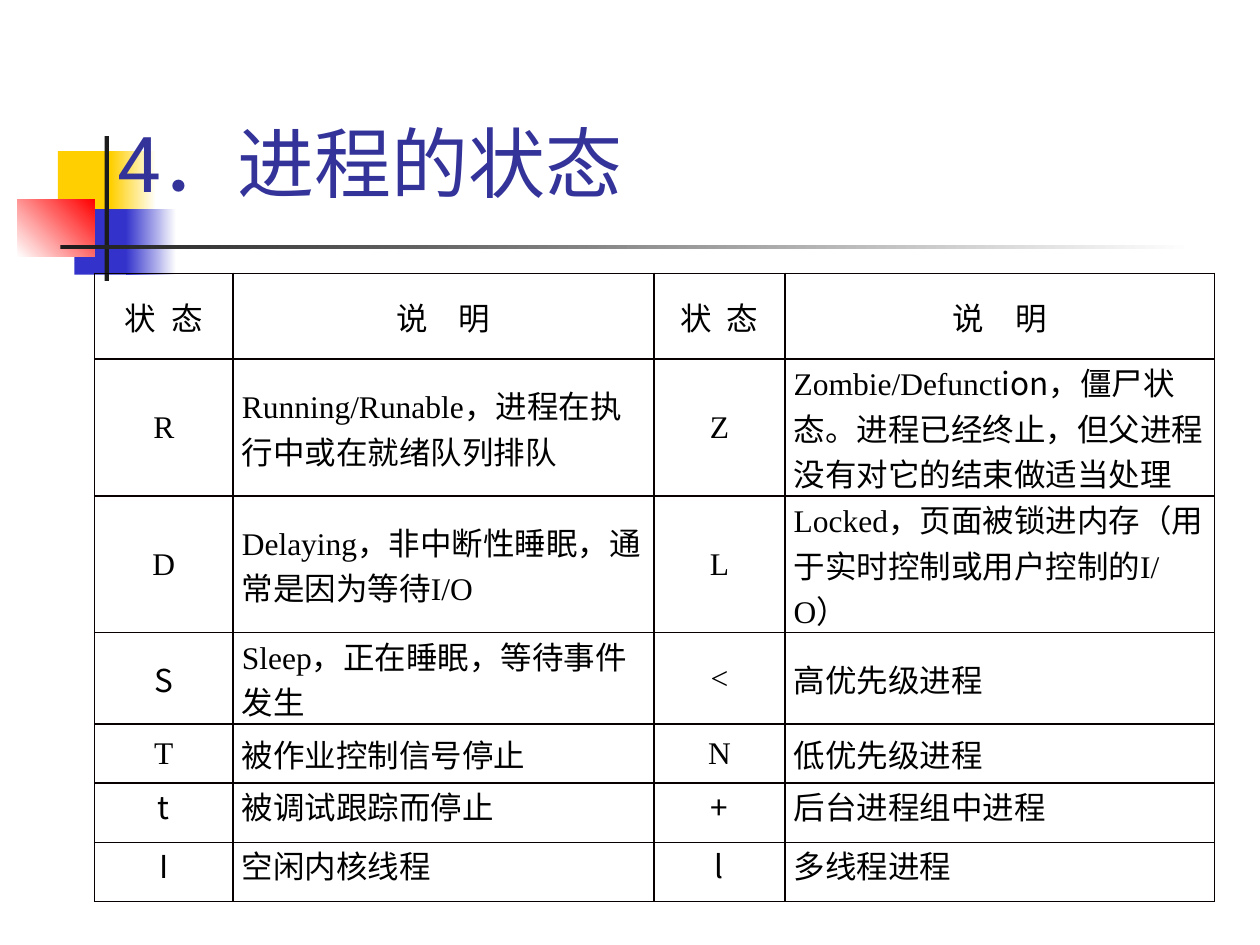
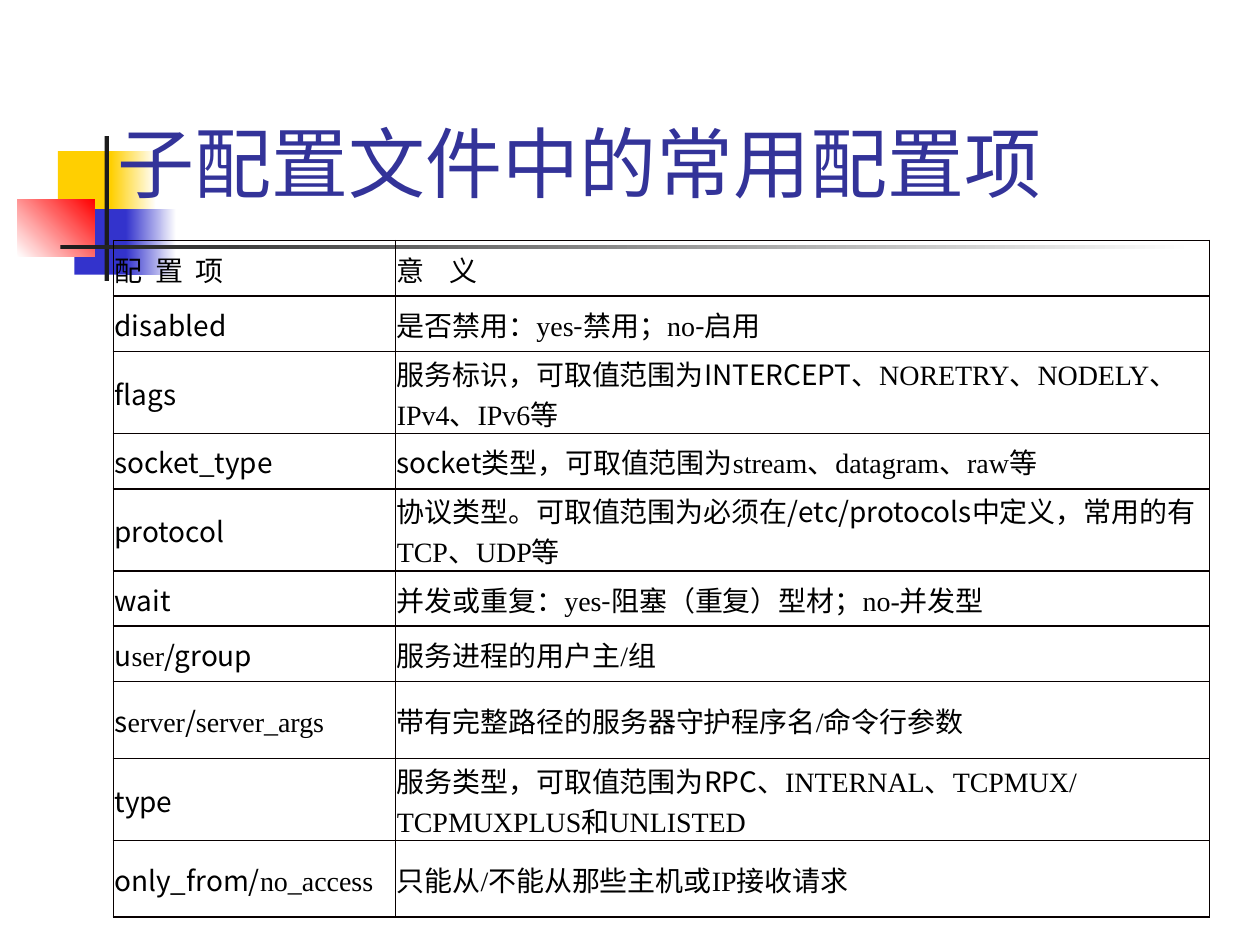
from dataclasses import dataclass
from itertools import cycle

from lxml import etree
from pptx import Presentation
from pptx.dml.color import RGBColor
from pptx.enum.lang import MSO_LANGUAGE_ID
from pptx.enum.shapes import MSO_SHAPE
from pptx.enum.text import MSO_ANCHOR, PP_ALIGN
from pptx.oxml.ns import qn
from pptx.util import Inches, Pt

RECTANGLE = MSO_SHAPE.RECTANGLE
TOP, MIDDLE, BOTTOM = MSO_ANCHOR.TOP, MSO_ANCHOR.MIDDLE, MSO_ANCHOR.BOTTOM
LEFT, CENTER = PP_ALIGN.LEFT, PP_ALIGN.CENTER
CHINESE = MSO_LANGUAGE_ID.SIMPLIFIED_CHINESE

SLIDE_WIDTH, SLIDE_HEIGHT = Inches(10), Inches(7.5)
GRID_COLUMNS, GRID_ROWS = 100, 75

COLORS = {
    "yellow": "FFCF01",
    "blue": "3333CC",
    "red": "FF0000",
    "white": "FFFFFF",
    "bar": "1C1C1C",
    "title": "333399",
    "text": "000000",
    "border": "080000",
}
TITLE_FONT, SERIF, SANS = "Roboto", "Times New Roman", "Noto Sans CJK SC"
SWITCH_FONT = "|"


@dataclass(frozen=True)
class Box:
    """A place in grid columns and rows."""
    left: float
    top: float
    width: float
    height: float

    def lengths(self) -> tuple[int, int, int, int]:
        return (across(self.left), down(self.top),
                across(self.width), down(self.height))


@dataclass(frozen=True)
class Block:
    """A decoration; it fades from start to end when an end colour is given."""
    box: Box
    start: str
    end: str = ""
    angle: float = 0


@dataclass(frozen=True)
class Heading:
    text: str
    spacing: float


@dataclass(frozen=True)
class TableDesign:
    left: float
    top: float
    columns: tuple[float, ...]
    rows: tuple[float, ...]
    size: float
    fonts: tuple[str, str]
    margins: tuple[float, float, float, float]
    centered_columns: tuple[int, ...] = ()
    heading_align: PP_ALIGN = LEFT
    first_top_row: int = 99


@dataclass(frozen=True)
class TableSlide:
    title: str
    design: TableDesign
    headings: tuple[Heading, ...]
    body: tuple[tuple[str, ...], ...]


TITLE_BOX = Box(8.3, 4.4, 89.2, 12.6)
DECORATIONS = (
    Block(Box(4.6, 12, 4.8, 5.2), "yellow"),
    Block(Box(8.8, 12, 3.6, 5.2), "yellow", "white"),
    Block(Box(5.9, 16.6, 4.6, 5.2), "blue"),
    Block(Box(10, 16.6, 4, 5.2), "blue", "white"),
    Block(Box(1.4, 15.8, 6.1, 4.6), "white", "red", 45),
    Block(Box(8.3, 10.8, 0.35, 11.5), "bar"),
    Block(Box(4.8, 19.45, 90, 0.35), "bar", "white"),
)

STATE_HEADINGS = (Heading("状 态", 2.25), Heading("说 明", 6.75))
PROCESS_STATES = TableSlide(
    title="4．进程的状态",
    design=TableDesign(
        left=7.5, top=21.7,
        columns=(11, 33.4, 10.4, 34.1),
        rows=(6.8,) + (9.4,) * 2 + (4.7,) * 4,
        size=18, fonts=(SERIF, SANS), margins=(0.7, 0, 0.7, 0),
        centered_columns=(0, 2), heading_align=CENTER, first_top_row=5,
    ),
    headings=STATE_HEADINGS * 2,
    body=(
        ("R", "Running/Runable，进程在执行中或在就绪队列排队",
         "Z", "Zombie/Defunct|ion|，僵尸状态。进程已经终止，但父进程没有对它的结束|做|适当处理"),
        ("D", "Delaying，非中断性睡眠，通常是因为等待I/O",
         "L", "Locked，页面被锁进内存（用于实时控制或用户控制的I/O）"),
        ("|S", "Sleep，正在睡眠，等待事件发生", "<", "高优先级进程"),
        ("T", "|被作业控制信号停止", "N", "低优先级进程"),
        ("|t", "|被调试跟踪而停止", "|+", "|后台进程组中进程"),
        ("|I", "|空闲内核线程", "|l", "|多线程进程"),
    ),
)

CONFIG_OPTIONS = TableSlide(
    title="子配置文件中的常用配置项",
    design=TableDesign(
        left=9, top=19.1,
        columns=(22.4, 64.6),
        rows=(4.4,) * 7 + (6.1,) * 3,
        size=16, fonts=(SANS, SERIF), margins=(0.1, 0.1, 0.1, 0),
    ),
    headings=(Heading("配 置 项", 1.8), Heading("意 义", 5.4)),
    body=(
        ("disabled", "是否禁用：|yes|-禁用；|no|-启用"),
        ("flags", "服务标识，可取值范围为INTERCEPT、|NORETRY|、|NODELY|、|IPv4|、|IPv6|等"),
        ("socket_type", "socket类型，可取值范围为|stream|、|datagram|、|raw|等"),
        ("protocol", "协议类型。可取值范围为必须在/etc/protocols中定义，常用的有|TCP|、|UDP|等"),
        ("wait", "并发或重复：|yes|-阻塞（重复）型材；|no-并发型"),
        ("u|ser|/group", "服务进程的用户主|/|组"),
        ("s|erver|/|server_args", "带|有完整路径|的|服务器守护程序|名|/|命令行参数"),
        ("type", "服务类型，可取值范围为RPC、|INTERNAL|、|TCPMUX/TCPMUXPLUS|和|UNLISTED"),
        ("only_from/|no_access", "只能从|/|不能从那些主机或|IP|接收请求"),
    ),
)


def across(columns: float) -> int:
    return round(SLIDE_WIDTH * columns / GRID_COLUMNS)


def down(rows: float) -> int:
    return round(SLIDE_HEIGHT * rows / GRID_ROWS)


def color(name: str) -> RGBColor:
    return RGBColor.from_string(COLORS[name])


def add_run(paragraph, text: str, font_name: str, size: float,
            color_name: str, spacing: float = 0) -> None:
    """Add a run; spacing is extra room after each character, in points."""
    run = paragraph.add_run()
    run.text = text
    font = run.font
    font.name, font.size, font.bold = font_name, Pt(size), False
    font.color.rgb = color(color_name)
    font.language_id = CHINESE
    properties = run._r.get_or_add_rPr()
    etree.SubElement(properties, qn("a:ea"), typeface=SANS)
    if spacing:
        properties.set("spc", str(round(spacing * 100)))


def draw_block(slide, block: Block) -> None:
    shape = slide.shapes.add_shape(RECTANGLE, *block.box.lengths())
    shape.shadow.inherit = False
    shape.line.fill.background()
    if not block.end:
        shape.fill.solid()
        shape.fill.fore_color.rgb = color(block.start)
        return
    shape.fill.gradient()
    shape.fill.gradient_angle = block.angle
    ends = ((0, block.start), (1, block.end))
    for stop, (position, name) in zip(shape.fill.gradient_stops, ends):
        stop.position = position
        stop.color.rgb = color(name)


def place_title(slide, text: str) -> None:
    """Format the title placeholder and bring it in front of the blocks."""
    title = slide.shapes.title
    title.left, title.top, title.width, title.height = TITLE_BOX.lengths()
    title.element.getparent().append(title.element)
    frame = title.text_frame
    frame.word_wrap = True
    frame.vertical_anchor = BOTTOM
    paragraph = frame.paragraphs[0]
    paragraph.alignment = LEFT
    add_run(paragraph, text, TITLE_FONT, 44, "title")


def add_borders(cell) -> None:
    properties = cell._tc.get_or_add_tcPr()
    for side in ("L", "R", "T", "B"):
        line = etree.SubElement(properties, qn(f"a:ln{side}"), w=str(Pt(1)))
        fill = etree.SubElement(line, qn("a:solidFill"))
        etree.SubElement(fill, qn("a:srgbClr"), val=COLORS["border"])


def format_cell(cell, design: TableDesign, align: PP_ALIGN, anchor: MSO_ANCHOR) -> None:
    add_borders(cell)
    cell.fill.background()
    left, top, right, bottom = design.margins
    cell.margin_left, cell.margin_right = across(left), across(right)
    cell.margin_top, cell.margin_bottom = down(top), down(bottom)
    cell.vertical_anchor = anchor
    cell.text_frame.paragraphs[0].alignment = align


def draw_table(slide, content: TableSlide) -> None:
    design = content.design
    box = Box(design.left, design.top, sum(design.columns), sum(design.rows))
    table = slide.shapes.add_table(
        len(design.rows), len(design.columns), *box.lengths()).table
    table.first_row = table.horz_banding = False
    for column, width in zip(table.columns, design.columns):
        column.width = across(width)
    for row, height in zip(table.rows, design.rows):
        row.height = down(height)

    for column_index, heading in enumerate(content.headings):
        cell = table.cell(0, column_index)
        format_cell(cell, design, design.heading_align, MIDDLE)
        add_run(cell.text_frame.paragraphs[0], heading.text, design.fonts[0],
                design.size, "text", heading.spacing)

    for row_index, texts in enumerate(content.body, start=1):
        anchor = TOP if row_index >= design.first_top_row else MIDDLE
        for column_index, text in enumerate(texts):
            cell = table.cell(row_index, column_index)
            align = CENTER if column_index in design.centered_columns else LEFT
            format_cell(cell, design, align, anchor)
            for part, font_name in zip(text.split(SWITCH_FONT), cycle(design.fonts)):
                if part:
                    add_run(cell.text_frame.paragraphs[0], part, font_name,
                            design.size, "text")


def build_slide(presentation, content: TableSlide) -> None:
    title_only = presentation.slide_layouts[5]
    slide = presentation.slides.add_slide(title_only)
    slide.background.fill.solid()
    slide.background.fill.fore_color.rgb = color("white")
    for block in DECORATIONS:
        draw_block(slide, block)
    place_title(slide, content.title)
    draw_table(slide, content)


def main() -> None:
    presentation = Presentation()
    presentation.slide_width, presentation.slide_height = SLIDE_WIDTH, SLIDE_HEIGHT
    for content in (PROCESS_STATES, CONFIG_OPTIONS):
        build_slide(presentation, content)
    presentation.save("out.pptx")


if __name__ == "__main__":
    main()
